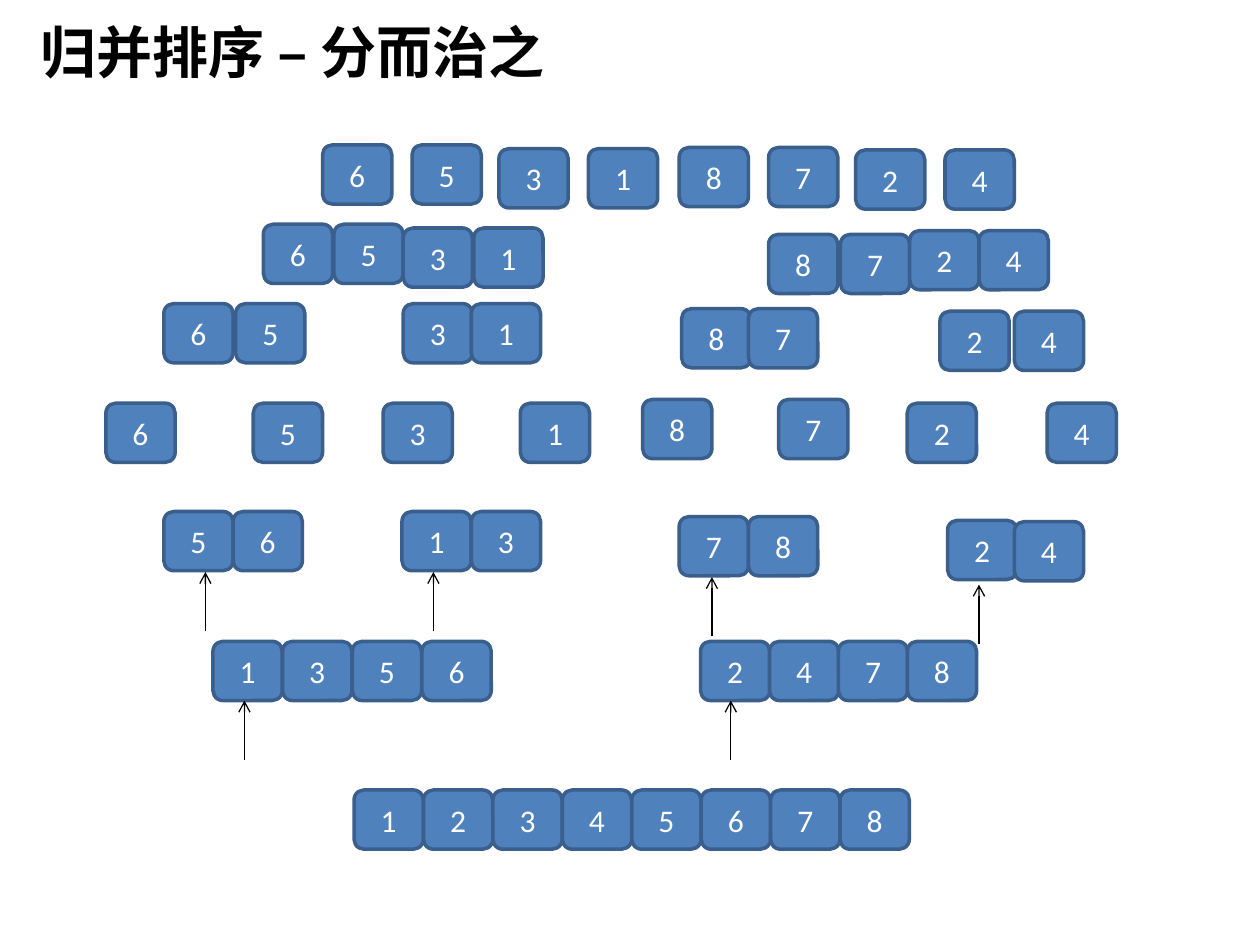
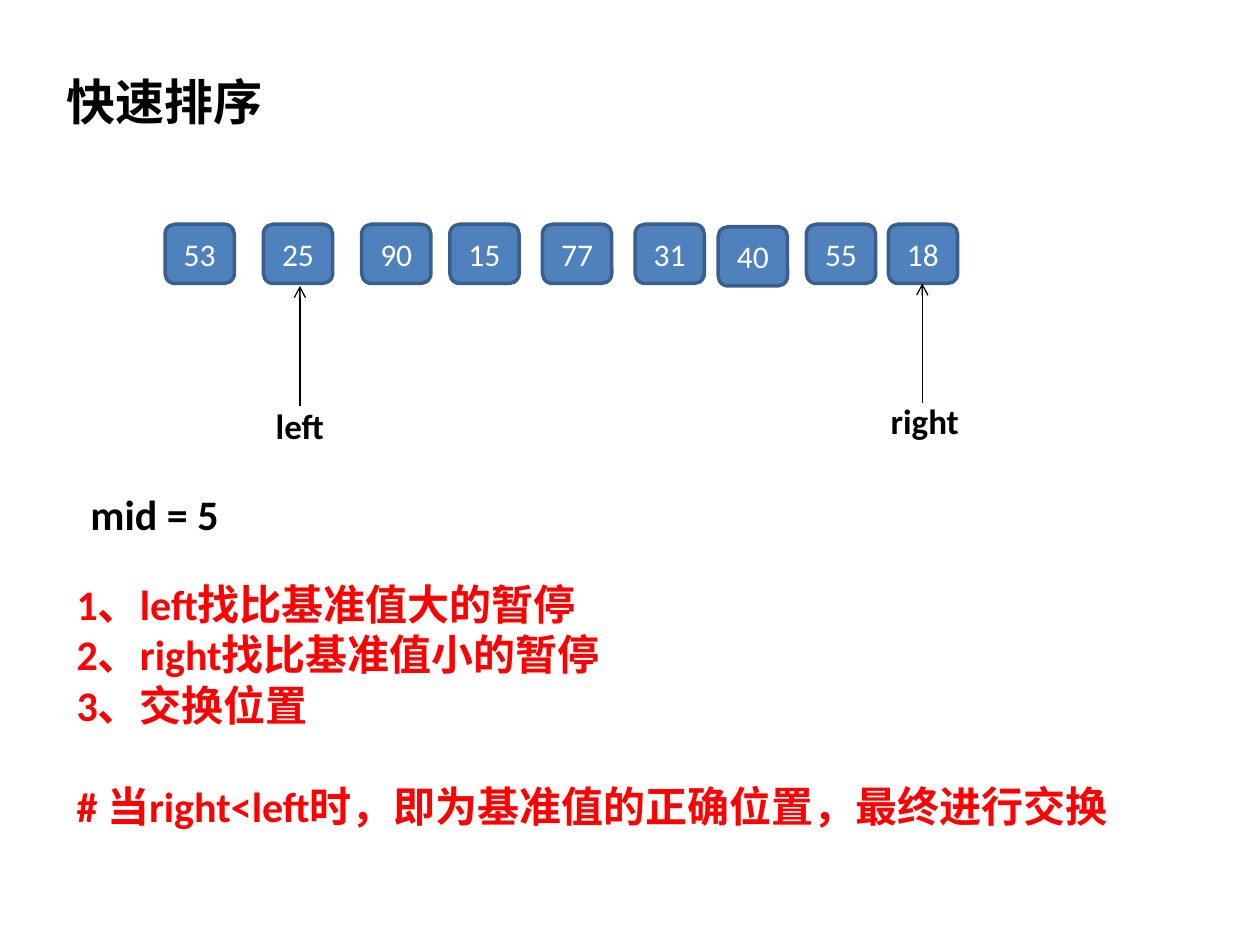
import pptx
import pptx.util
import pptx.dml.color
import pptx.enum.shapes
import pptx.enum.text
import pptx.oxml
import pptx.oxml.ns

SLIDE_WIDTH = pptx.util.Inches(10)
SLIDE_HEIGHT = pptx.util.Inches(7.5)
COLUMN = SLIDE_WIDTH / 100
ROW = SLIDE_HEIGHT / 75
TILE_WIDTH, TILE_HEIGHT = 5.5, 4.7
FONT = "Calibri"
BLACK, WHITE, RED = "000000", "FFFFFF", "FF0000"
TILE_FILL, TILE_LINE = "4F81BD", "3A5F8C"
LEFT = pptx.enum.text.PP_ALIGN.LEFT
CENTER = pptx.enum.text.PP_ALIGN.CENTER
TOP = pptx.enum.text.MSO_ANCHOR.TOP
MIDDLE = pptx.enum.text.MSO_ANCHOR.MIDDLE


def color(code):
    return pptx.dml.color.RGBColor.from_string(code)


def apply(target, values):
    for name, value in values.items():
        setattr(target, name, value)


def on_grid(left, top, width, height):
    return (round(left * COLUMN), round(top * ROW),
            round(width * COLUMN), round(height * ROW))


def write(shape, lines, size, code, bold=True, align=LEFT, anchor=TOP, wrap=False):
    frame = shape.text_frame
    apply(frame, {"word_wrap": wrap, "vertical_anchor": anchor,
                  "auto_size": pptx.enum.text.MSO_AUTO_SIZE.NONE})
    for index, line in enumerate(lines):
        para = frame.add_paragraph() if index else frame.paragraphs[0]
        para.alignment = align
        span = para.add_run()
        span.text = line
        apply(span.font, {"name": FONT, "size": pptx.util.Pt(size), "bold": bold})
        span.font.color.rgb = color(code)
    return frame


def add_page(deck, title, box, size):
    page = deck.slides.add_slide(deck.slide_layouts[5])
    shape = page.shapes.title
    apply(shape, dict(zip(("left", "top", "width", "height"), on_grid(*box))))
    write(shape, [title], size, BLACK)
    return page


def add_label(page, box, lines, size, code=BLACK, wrap=False):
    shape = page.shapes.add_textbox(*on_grid(*box))
    return write(shape, lines, size, code, wrap=wrap)


def add_tile(page, left, top, label):
    shape = page.shapes.add_shape(pptx.enum.shapes.MSO_SHAPE.ROUNDED_RECTANGLE,
                                  *on_grid(left, top, TILE_WIDTH, TILE_HEIGHT))
    shape.shadow.inherit = False
    shape.fill.solid()
    shape.fill.fore_color.rgb = color(TILE_FILL)
    shape.line.color.rgb = color(TILE_LINE)
    shape.line.width = pptx.util.Pt(2)
    write(shape, [label], 18, WHITE, bold=False, align=CENTER, anchor=MIDDLE, wrap=True)


def add_runs(page, origin, runs):
    for left, top, pitch, labels in runs:
        for index, label in enumerate(labels.split()):
            add_tile(page, origin[0] + left + index * pitch, origin[1] + top, label)


def add_pointers(page, origin, tips, length):
    for left, top in tips:
        x, y, _, reach = on_grid(origin[0] + left, origin[1] + top, 0, length)
        arrow = page.shapes.add_connector(pptx.enum.shapes.MSO_CONNECTOR.STRAIGHT,
                                          x, y + reach, x, y)
        arrow.line.color.rgb = color(BLACK)
        arrow.line.width = pptx.util.Pt(0.75)
        head = pptx.oxml.parse_xml(
            f'<a:tailEnd {pptx.oxml.ns.nsdecls("a")} type="arrow"/>')
        arrow.line._get_or_add_ln().append(head)
        arrow._element.spPr.append(pptx.oxml.parse_xml(
            f'<a:effectLst {pptx.oxml.ns.nsdecls("a")}/>'))


def add_split_stage(page, origin):
    add_runs(page, origin, [
        (17.2, 0, 7.1, "6 5"), (31.2, 0.3, 7.1, "3 1"),
        (45.5, 0.2, 7.1, "8 7"), (59.5, 0.4, 7.1, "2 4"),
        (12.5, 6.3, 5.6, "6 5"), (23.6, 6.6, 5.6, "3 1"),
        (52.6, 7.1, 5.7, "8 7"), (63.8, 6.8, 5.5, "2 4"),
        (4.6, 12.6, 5.7, "6 5"), (23.6, 12.6, 5.4, "3 1"),
        (45.7, 13, 5.3, "8 7"), (66.2, 13.2, 5.9, "2 4"),
        (0, 20.5, 11.7, "6 5"), (22, 20.5, 10.9, "3 1"),
        (42.6, 20.2, 10.8, "8 7"), (63.6, 20.5, 11.1, "2 4"),
    ])


def add_merge_stage(page, origin):
    add_runs(page, origin, [
        (0, 0, 5.5, "5 6"), (18.9, 0, 5.5, "1 3"), (40.9, 0.4, 5.5, "7 8"),
        (62.2, 0.7, 5.5, "2"), (67.5, 0.8, 5.5, "4"),
        (3.9, 10.3, 5.53, "1 3 5 6"), (42.6, 10.3, 5.47, "2 4 7 8"),
        (15.1, 22.1, 5.51, "1 2 3 4 5 6 7 8"),
    ])
    add_pointers(page, origin, [(3.3, 4.8), (21.4, 4.8), (43.5, 5.2), (64.7, 5.8),
                                (6.4, 15), (45, 15)], 4.7)


def add_partition(page, origin):
    add_runs(page, origin, [
        (0, 0, 7.8, "53 25 90"), (22.6, 0, 7.35, "15 77 31"),
        (43.9, 0.2, 7, "40"), (50.9, 0, 6.5, "55 18"),
    ])
    add_pointers(page, origin, [(10.7, 4.9), (60.1, 4.7)], 9.5)
    for left, top, width, name in [(7.8, 13.8, 6, "left"), (56.6, 13.4, 7.5, "right")]:
        add_label(page, (origin[0] + left, origin[1] + top, width, 4.4), [name], 20)


def add_rules(page, box):
    frame = add_label(page, box, [
        "1、left找比基准值大的暂停",
        "2、right找比基准值小的暂停",
        "3、交换位置",
        "# 当right<left时，即为基准值的正确位置，最终进行交换",
    ], 24, RED, wrap=True)
    frame.paragraphs[-1].space_before = pptx.util.Pt(29)


deck = pptx.Presentation()
apply(deck, {"slide_width": SLIDE_WIDTH, "slide_height": SLIDE_HEIGHT})

merge_page = add_page(deck, "归并排序 – 分而治之", (2.2, 0.9, 42.3, 6.4), 32)
add_split_stage(merge_page, (8.4, 11.5))
add_merge_stage(merge_page, (13, 40.6))

quick_page = add_page(deck, "快速排序", (4.3, 5.2, 17.7, 5.7), 28)
add_partition(quick_page, (13.1, 17.8))
add_label(quick_page, (6.2, 38.3, 12.3, 5), ["mid = 5"], 24)
add_rules(quick_page, (5.1, 45.4, 85.1, 21.2))

deck.save("out.pptx")
